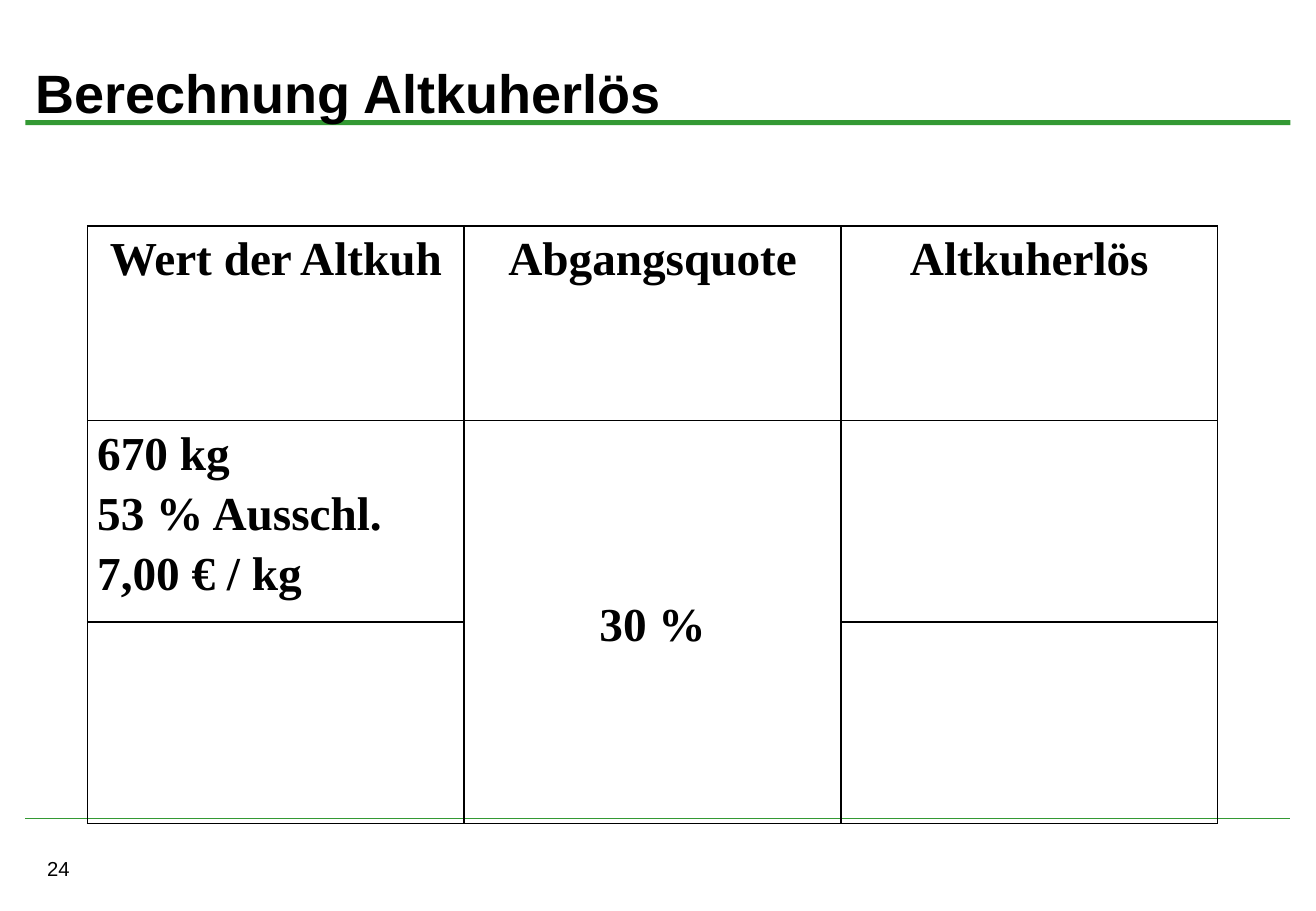
from pptx import Presentation
from pptx.dml.color import RGBColor
from pptx.enum.shapes import MSO_CONNECTOR, MSO_SHAPE
from pptx.enum.text import MSO_ANCHOR as Anchor, MSO_AUTO_SIZE as AutoSize, PP_ALIGN as Align
from pptx.oxml.ns import qn
from pptx.util import Inches, Pt
from lxml.etree import SubElement

GREEN = RGBColor(0x33, 0x99, 0x33)
BLACK = RGBColor(0, 0, 0)

WIDTH, HEIGHT = Inches(10.83), Inches(7.5)
MARGIN = Inches(0.21)
COLUMN_WIDTH = Inches(3.1)
ROW_HEIGHTS = [Inches(1.6), Inches(1.66), Inches(1.66)]

TITLE_FONT = {"name": "Arial", "size": Pt(32), "bold": True}
NUMBER_FONT = {"name": "Arial", "size": Pt(12)}
CELL_FONT = {"name": "Times New Roman", "size": Pt(28), "bold": True}
CELL_FORMAT = {"margin_left": Inches(0.08), "margin_right": Inches(0.08),
               "margin_top": 0, "margin_bottom": 0}

HEADINGS = ["Wert der Altkuh", "Abgangsquote", "Altkuherlös"]
COW_VALUE = ["670 kg", "53 % Ausschl. 7,00 € / kg"]


def apply(target, values):
    for name, value in values.items():
        setattr(target, name, value)


def write(frame, lines, font, **paragraph_format):
    """Fill a text frame with one formatted paragraph per line."""
    frame.text = "\n".join(lines)
    for para in frame.paragraphs:
        apply(para, paragraph_format)
        for span in para.runs:
            apply(span.font, font)
            span.font.color.rgb = BLACK


def add_rules(page):
    """Draw the thick title bar and the thin footer line."""
    right = WIDTH - MARGIN
    bar = page.shapes.add_shape(MSO_SHAPE.RECTANGLE, MARGIN, Inches(0.99),
                                right - MARGIN, Inches(0.04))
    bar.shadow.inherit = False
    bar.fill.solid()
    bar.fill.fore_color.rgb = GREEN
    bar.line.fill.background()

    footer_y = Inches(6.74)
    line = page.shapes.add_connector(MSO_CONNECTOR.STRAIGHT, MARGIN, footer_y, right, footer_y)
    line.line.color.rgb = GREEN
    line.line.width = Pt(0.75)
    SubElement(line._element.spPr, qn("a:effectLst"))


def add_page_number(page, number):
    box = page.shapes.add_textbox(Inches(0.29), Inches(7), Inches(2.55), Inches(0.3))
    apply(box.text_frame, {"word_wrap": True, "auto_size": AutoSize.SHAPE_TO_FIT_TEXT})
    write(box.text_frame, [number], NUMBER_FONT)


def set_title(page, text):
    title = page.shapes.title
    apply(title, {"left": Inches(0.19), "top": Inches(0.32),
                  "width": Inches(10.45), "height": Inches(0.87)})
    apply(title.text_frame, {"vertical_anchor": Anchor.MIDDLE, "auto_size": AutoSize.NONE})
    write(title.text_frame, [text], TITLE_FONT, alignment=Align.LEFT)
    # The letters stand in front of the green bar.
    page.shapes._spTree.append(title._element)


def add_borders(cell):
    properties = cell._tc.get_or_add_tcPr()
    for side in ("lnL", "lnR", "lnT", "lnB"):
        border = SubElement(properties, qn(f"a:{side}"), w=str(Pt(1)))
        fill = SubElement(border, qn("a:solidFill"))
        SubElement(fill, qn("a:srgbClr"), val=str(BLACK))


def add_proceeds_table(page):
    rows, columns = len(ROW_HEIGHTS), len(HEADINGS)
    table = page.shapes.add_table(rows, columns, Inches(0.72), Inches(1.86),
                                  COLUMN_WIDTH * columns, sum(ROW_HEIGHTS)).table
    apply(table, {"first_row": False, "horz_banding": False})
    for column in table.columns:
        column.width = COLUMN_WIDTH
    for row, height in zip(table.rows, ROW_HEIGHTS):
        row.height = height
    for cell in table.iter_cells():
        apply(cell, CELL_FORMAT)
        add_borders(cell)
        cell.fill.background()

    for index, heading in enumerate(HEADINGS):
        write(table.cell(0, index).text_frame, [heading], CELL_FONT,
              alignment=Align.CENTER, line_spacing=1.15)
    write(table.cell(1, 0).text_frame, COW_VALUE, CELL_FONT, line_spacing=1.15)

    quota = table.cell(1, 1)
    quota.merge(table.cell(2, 1))
    quota.vertical_anchor = Anchor.MIDDLE
    write(quota.text_frame, ["30 %"], CELL_FONT, alignment=Align.CENTER, line_spacing=1.15)


def main():
    deck = Presentation()
    apply(deck, {"slide_width": WIDTH, "slide_height": HEIGHT})
    page = deck.slides.add_slide(deck.slide_layouts.get_by_name("Title Only"))
    add_rules(page)
    add_page_number(page, "24")
    set_title(page, "Berechnung Altkuherlös")
    add_proceeds_table(page)
    deck.save("out.pptx")


if __name__ == "__main__":
    main()
